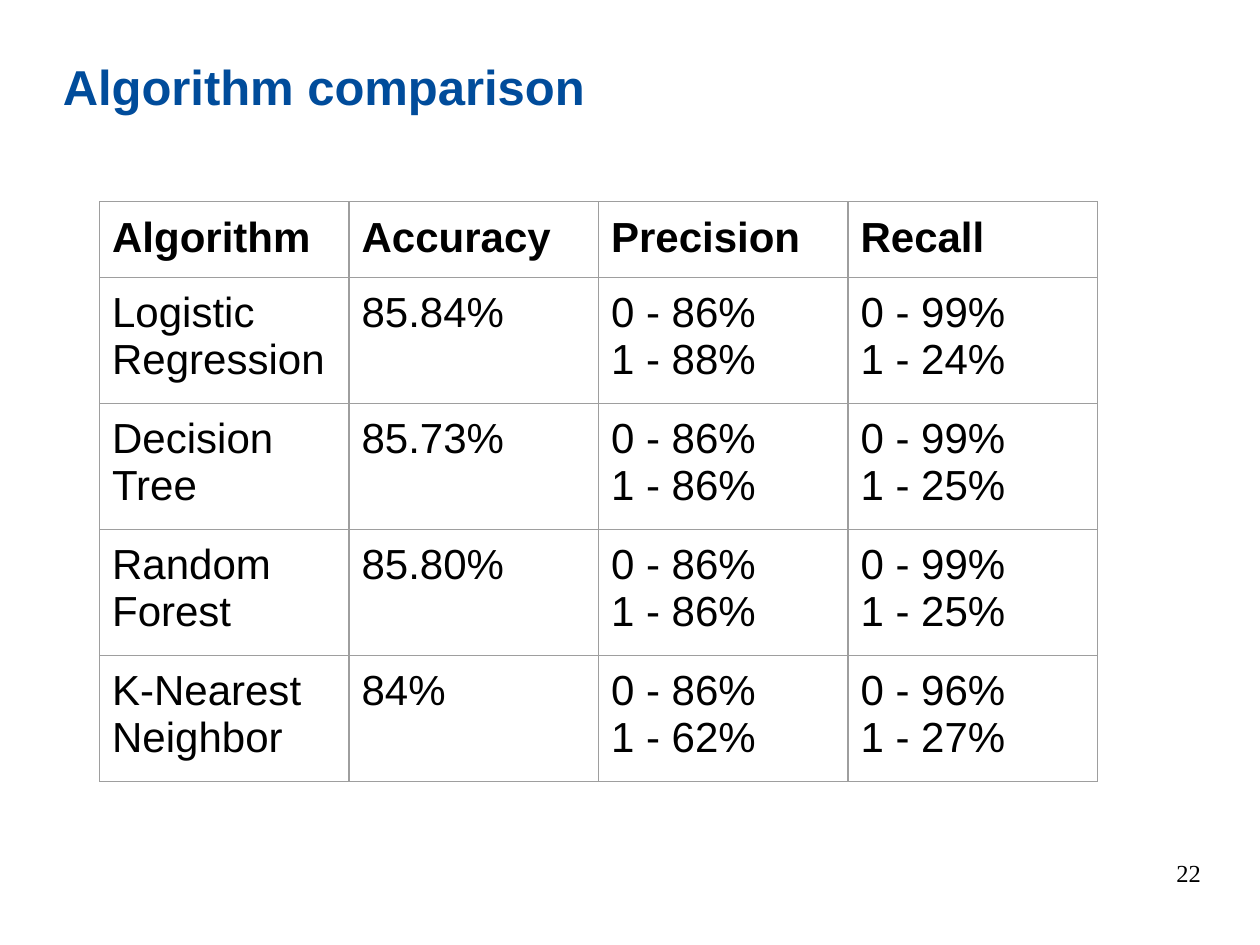
"""Build the algorithm comparison slide with its table of scores."""
from dataclasses import dataclass

from lxml import etree
from pptx import Presentation
from pptx.dml.color import RGBColor
from pptx.enum.text import MSO_ANCHOR, PP_ALIGN
from pptx.oxml.ns import qn
from pptx.util import Inches, Pt

TOP, MIDDLE = MSO_ANCHOR.TOP, MSO_ANCHOR.MIDDLE
LEFT, RIGHT = PP_ALIGN.LEFT, PP_ALIGN.RIGHT


@dataclass(frozen=True)
class TextStyle:
    size: float
    color: str = "000000"
    font: str = "Arial"
    bold: bool = False


@dataclass(frozen=True)
class Theme:
    title: TextStyle = TextStyle(28, "004C9B", bold=True)
    header: TextStyle = TextStyle(24, bold=True)
    body: TextStyle = TextStyle(24)
    page_number: TextStyle = TextStyle(14, font="Times New Roman")
    border: str = "9E9E9E"
    border_width: float = 0.75
    cell_margin: float = 0.1


@dataclass(frozen=True)
class Label:
    text: str
    left: float
    top: float
    width: float
    height: float
    style: TextStyle
    anchor: MSO_ANCHOR = TOP
    align: PP_ALIGN = LEFT
    line_spacing: float = 1.0


@dataclass(frozen=True)
class Score:
    algorithm: str
    accuracy: str
    precision: tuple[str, str]
    recall: tuple[str, str]

    def cell_lines(self) -> list[tuple[str, ...]]:
        per_class = [
            tuple(f"{label} - {value}" for label, value in enumerate(values))
            for values in (self.precision, self.recall)
        ]
        return [(self.algorithm,), (self.accuracy,), *per_class]


THEME = Theme()
LABELS = (
    Label("Algorithm comparison", 0.4, 0.43, 9.24, 1.17, THEME.title, line_spacing=0.95),
    Label("22", 8.91, 6.73, 0.72, 0.4, THEME.page_number, MIDDLE, RIGHT),
)
HEADERS = ("Algorithm", "Accuracy", "Precision", "Recall")
SCORES = (
    Score("Logistic Regression", "85.84%", ("86%", "88%"), ("99%", "24%")),
    Score("Decision Tree", "85.73%", ("86%", "86%"), ("99%", "25%")),
    Score("Random Forest", "85.80%", ("86%", "86%"), ("99%", "25%")),
    Score("K-Nearest Neighbor", "84%", ("86%", "62%"), ("96%", "27%")),
)
TABLE_LEFT, TABLE_TOP = 0.79, 1.6
COLUMN_WIDTH, ROW_HEIGHT = 1.98, 0.42


def add_run(paragraph, text: str, style: TextStyle) -> None:
    run = paragraph.add_run()
    run.text = text
    run.font.name = style.font
    run.font.size = Pt(style.size)
    run.font.bold = style.bold
    run.font.color.rgb = RGBColor.from_string(style.color)


def add_label(slide, label: Label) -> None:
    box = slide.shapes.add_textbox(
        Inches(label.left), Inches(label.top), Inches(label.width), Inches(label.height)
    )
    frame = box.text_frame
    frame.word_wrap = True
    frame.vertical_anchor = label.anchor
    paragraph = frame.paragraphs[0]
    paragraph.alignment = label.align
    paragraph.line_spacing = label.line_spacing
    add_run(paragraph, label.text, label.style)


def set_borders(cell) -> None:
    properties = cell._tc.get_or_add_tcPr()
    for position, side in enumerate(("a:lnL", "a:lnR", "a:lnT", "a:lnB")):
        line = etree.Element(qn(side), w=str(Pt(THEME.border_width)))
        fill = etree.SubElement(line, qn("a:solidFill"))
        etree.SubElement(fill, qn("a:srgbClr"), val=THEME.border)
        properties.insert(position, line)


def fill_cell(cell, lines: tuple[str, ...], style: TextStyle) -> None:
    margin = Inches(THEME.cell_margin)
    cell.margin_left = cell.margin_right = margin
    cell.margin_top = cell.margin_bottom = margin
    cell.vertical_anchor = TOP
    cell.fill.background()
    set_borders(cell)
    frame = cell.text_frame
    for index, line in enumerate(lines):
        paragraph = frame.add_paragraph() if index else frame.paragraphs[0]
        add_run(paragraph, line, style)


def add_score_table(slide) -> None:
    rows = [[(header,) for header in HEADERS], *(score.cell_lines() for score in SCORES)]
    table = slide.shapes.add_table(
        len(rows), len(HEADERS), Inches(TABLE_LEFT), Inches(TABLE_TOP),
        Inches(COLUMN_WIDTH * len(HEADERS)), Inches(ROW_HEIGHT * len(rows)),
    ).table
    table.first_row = table.horz_banding = False
    for column in table.columns:
        column.width = Inches(COLUMN_WIDTH)
    for row_index, row in enumerate(rows):
        table.rows[row_index].height = Inches(ROW_HEIGHT)
        style = THEME.body if row_index else THEME.header
        for column_index, lines in enumerate(row):
            fill_cell(table.cell(row_index, column_index), lines, style)


def main() -> None:
    presentation = Presentation()
    presentation.slide_width = Inches(10)
    presentation.slide_height = Inches(7.5)
    slide = presentation.slides.add_slide(presentation.slide_layouts[6])
    for label in LABELS:
        add_label(slide, label)
    add_score_table(slide)
    presentation.save("out.pptx")


if __name__ == "__main__":
    main()
